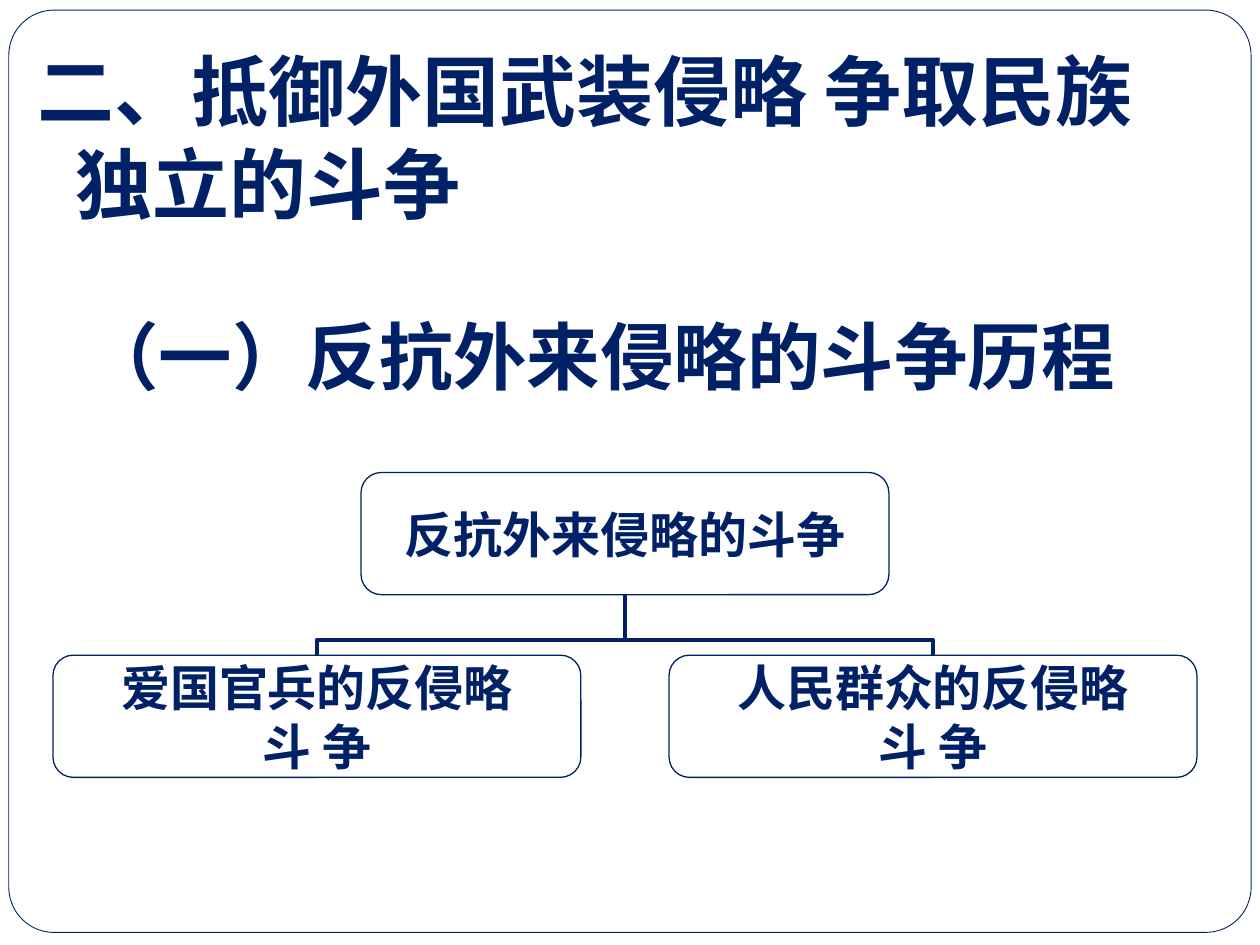
from lxml.etree import SubElement
from pptx import Presentation
from pptx.dml.color import RGBColor
from pptx.enum.shapes import MSO_CONNECTOR, MSO_SHAPE
from pptx.enum.text import MSO_ANCHOR, PP_ALIGN
from pptx.oxml.ns import qn
from pptx.util import Inches, Pt

COLORS = {"navy": "002166", "white": "FFFFFF"}
FONT = "Noto Sans CJK JP"
NODE_W, NODE_H = 4.19, 0.97
ROOT = "反抗外来侵略的斗争"
BRANCHES = [["爱国官兵的反侵略", "斗 争"], ["人民群众的反侵略", "斗 争"]]


def rgb(name):
    return RGBColor.from_string(COLORS[name])


def add_run(p, text, size):
    r = p.add_run()
    r.text = text
    r.font.size = Pt(size)
    r.font.bold = True
    r.font.name = FONT
    r.font.color.rgb = rgb("navy")
    SubElement(r.font._element, qn("a:ea"), typeface=FONT)


def add_panel(s, x, y, w, h, radius, line_width):
    sp = s.shapes.add_shape(MSO_SHAPE.ROUNDED_RECTANGLE,
                            Inches(x), Inches(y), Inches(w), Inches(h))
    sp.adjustments[0] = radius
    sp.shadow.inherit = False
    sp.fill.solid()
    sp.fill.fore_color.rgb = rgb("white")
    sp.line.color.rgb = rgb("navy")
    sp.line.width = Pt(line_width)
    return sp


def add_heading(s, x, y, w, h, text, size):
    tf = s.shapes.add_textbox(Inches(x), Inches(y), Inches(w), Inches(h)).text_frame
    tf.word_wrap = True
    p = tf.paragraphs[0]
    add_run(p, text, size)
    return p


def add_title(s, x, y, w, h):
    p = add_heading(s, x, y, w, h, "二、抵御外国武装侵略 争取民族独立的斗争", 44)
    pPr = p._p.get_or_add_pPr()
    pPr.set("marL", str(Inches(0.3)))
    pPr.set("indent", str(Inches(-0.3)))


def add_node(s, x, y, lines):
    sp = add_panel(s, x, y, NODE_W, NODE_H, 0.167, 0.75)
    tf = sp.text_frame
    tf.word_wrap = False
    tf.vertical_anchor = MSO_ANCHOR.MIDDLE
    tf.margin_left = tf.margin_right = tf.margin_top = tf.margin_bottom = 0
    for i, line in enumerate(lines):
        p = tf.add_paragraph() if i else tf.paragraphs[0]
        p.alignment = PP_ALIGN.CENTER
        add_run(p, line, 28)
    return sp


def join(s, child, root):
    """Run an elbow up from the child's top to the root's bottom."""
    c = s.shapes.add_connector(MSO_CONNECTOR.ELBOW, 0, 0, 0, 0)
    c.begin_connect(child, 0)
    c.end_connect(root, 2)
    c.line.color.rgb = rgb("navy")
    c.line.width = Pt(2.25)
    # The elbow leaves vertically, so its frame is turned a quarter.
    x1, y1 = child.left + child.width // 2, child.top
    x2, y2 = root.left + root.width // 2, root.top + root.height
    w, h = y1 - y2, abs(x2 - x1)
    c.left, c.top = (x1 + x2 - w) // 2, (y1 + y2 - h) // 2
    c.width, c.height = w, h
    spPr = c._element.spPr
    xfrm = spPr.find(qn("a:xfrm"))
    for flip in ("flipH", "flipV"):
        xfrm.attrib.pop(flip, None)
    to_right = x1 < x2
    xfrm.set("rot", str((270 if to_right else 90) * 60000))
    if not to_right:
        xfrm.set("flipH", "1")
    guides = spPr.find(qn("a:prstGeom")).get_or_add_avLst()
    SubElement(guides, qn("a:gd"), name="adj1", fmla="val 25900")
    SubElement(spPr, qn("a:effectLst"))


def add_tree(s, x, y, w, h):
    root = add_node(s, x + (w - NODE_W) / 2, y, [ROOT])
    step = (w - NODE_W) / (len(BRANCHES) - 1)
    for i, lines in enumerate(BRANCHES):
        child = add_node(s, x + i * step, y + h - NODE_H, lines)
        join(s, child, root)


def main():
    prs = Presentation()
    prs.slide_width, prs.slide_height = Inches(10), Inches(7.5)
    s = prs.slides.add_slide(prs.slide_layouts[6])
    s.background.fill.solid()
    s.background.fill.fore_color.rgb = rgb("white")
    add_panel(s, 0.07, 0.08, 9.86, 7.32, 0.049, 0.5)
    add_title(s, 0.2, 0.3, 9.3, 1.4)
    add_heading(s, 0.58, 2.42, 9, 0.83, "（一）反抗外来侵略的斗争历程", 42)
    add_tree(s, 0.42, 3.75, 9.08, 2.42)
    prs.save("out.pptx")


if __name__ == "__main__":
    main()
